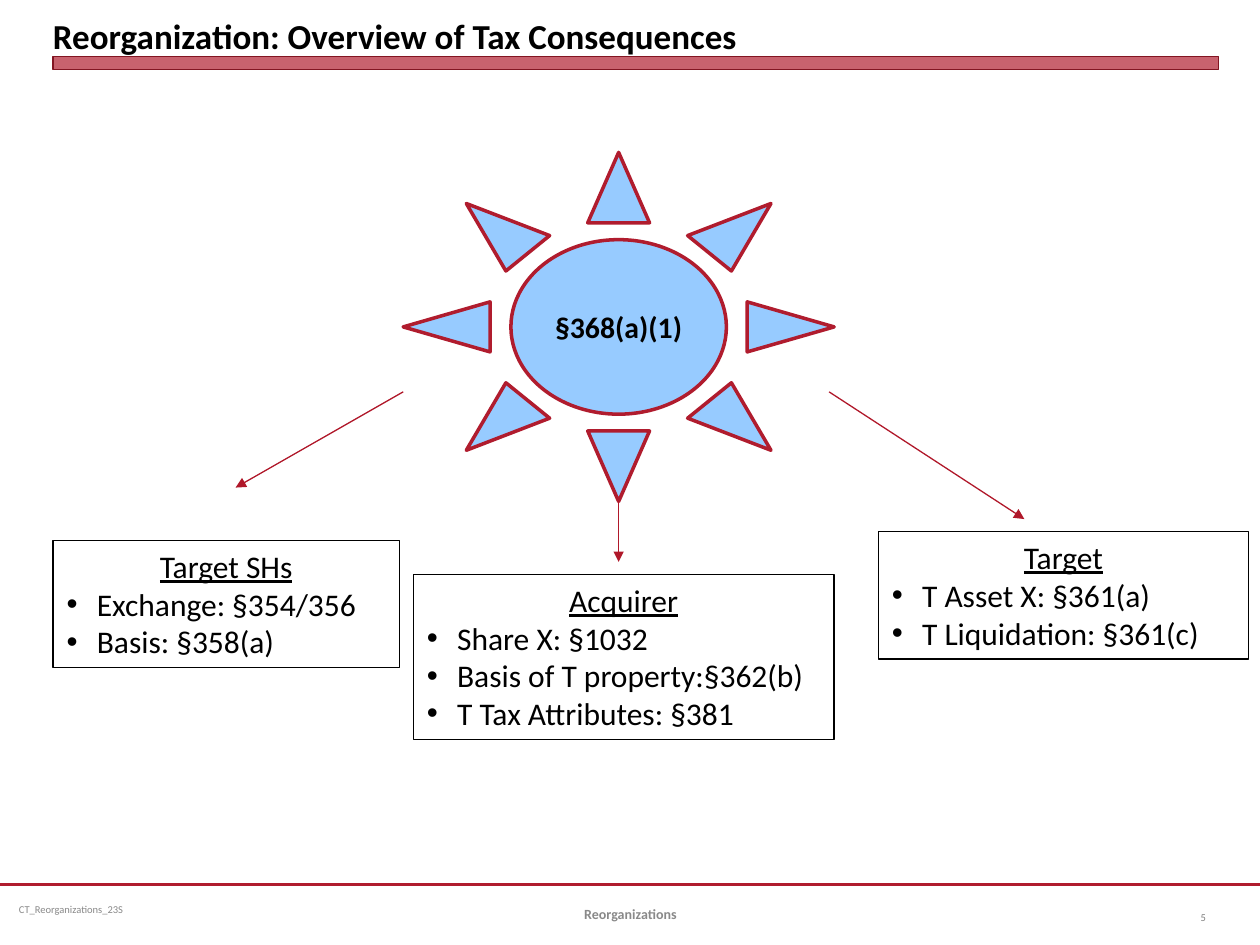
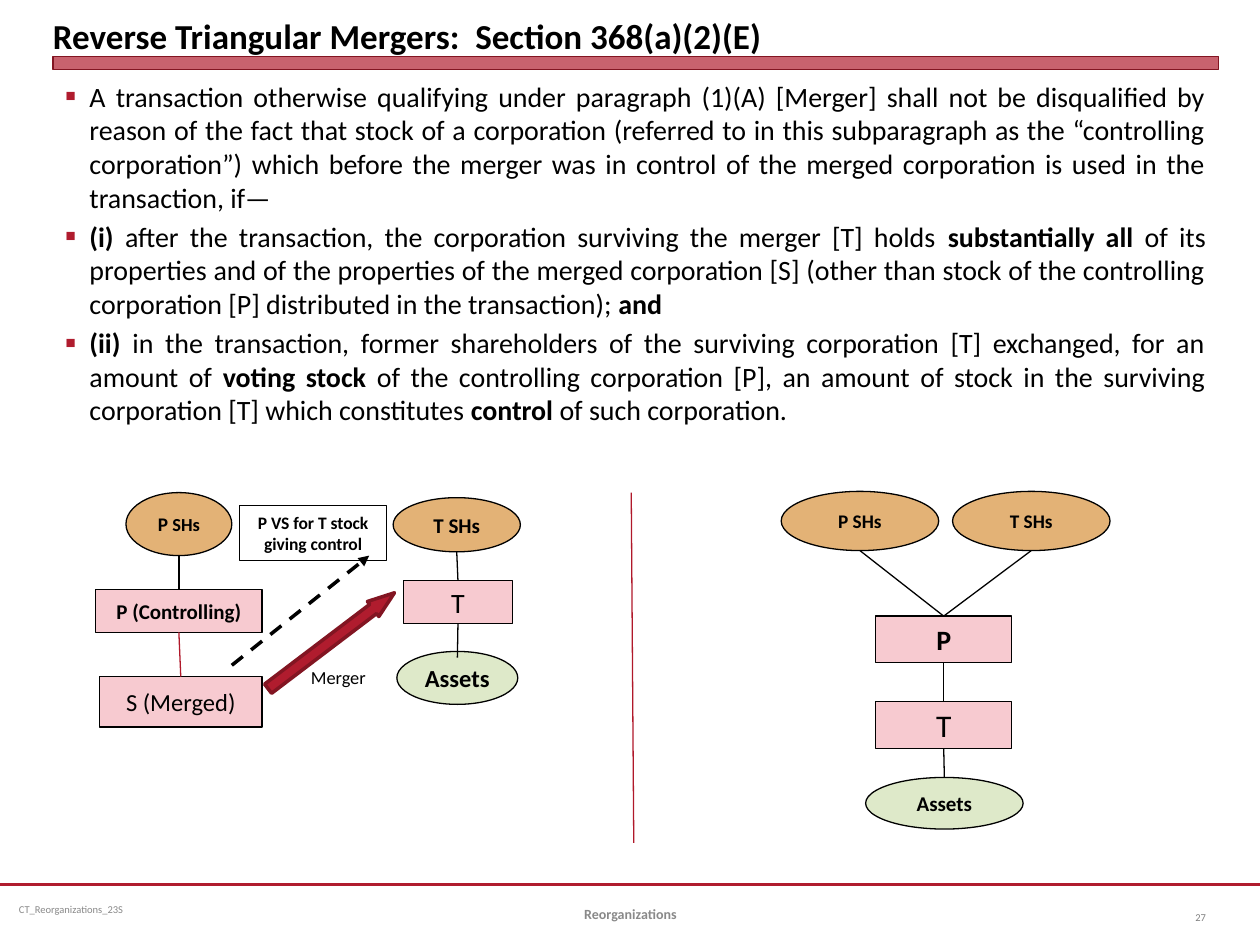
from dataclasses import dataclass
from typing import NamedTuple, Optional, Union

from lxml import etree
from pptx import Presentation
from pptx import slide as sl
from pptx import util as u
from pptx.dml import color as dc
from pptx.enum import dml, shapes, text
from pptx.oxml import ns
from pptx.shapes import autoshape
from pptx.text import text as tx

FONT = "Calibri"
COLORS = {
    "black": "000000", "crimson": "B01C2E", "wine": "821522", "arrow": "B0182A",
    "sky": "97CBFF", "pink": "F7CAD0", "amber": "E3B276", "green": "DEE9C9",
    "footer": "898989", "number": "808080",
}
KIND = shapes.MSO_SHAPE
ALIGN = text.PP_ALIGN
MIDDLE = text.MSO_ANCHOR.MIDDLE
TOP, BOTTOM = 0, 2  # connection sites


class Box(NamedTuple):
    left: float
    top: float
    width: float
    height: float

    def lengths(self) -> list:
        return [u.Inches(value) for value in self]


class Run(NamedTuple):
    text: str
    size: float
    bold: bool = False
    color: str = "black"
    underline: bool = False


class Point(NamedTuple):
    x: float
    y: float


class Anchor(NamedTuple):
    node: str
    site: int


@dataclass
class Node:
    kind: shapes.MSO_SHAPE
    box: Box
    runs: list
    fill: Optional[str] = None
    line: str = "black"
    width: float = 0.75
    wrap: bool = False


@dataclass
class Link:
    start: Union[Point, Anchor]
    end: Union[Point, Anchor]
    color: str = "black"
    width: float = 0.75
    dashed: bool = False
    arrow: bool = False


class Card(NamedTuple):
    heading: str
    box: Box
    items: list


def rgb(name: str) -> dc.RGBColor:
    return dc.RGBColor.from_string(COLORS[name])


def add_runs(paragraph: tx._Paragraph, runs: list, align: ALIGN = ALIGN.LEFT) -> None:
    paragraph.alignment = align
    for item in runs:
        run = paragraph.add_run()
        run.text = item.text
        font = run.font
        font.name, font.size = FONT, u.Pt(item.size)
        font.bold, font.underline = item.bold, item.underline
        font.color.rgb = rgb(item.color)


def add_bullet(paragraph: tx._Paragraph, mark: str, margin: float, hang: float,
               color: str = "black", percent: int = 100) -> None:
    properties = paragraph._p.get_or_add_pPr()
    properties.set("marL", str(u.Inches(margin)))
    properties.set("indent", str(u.Inches(-hang)))
    bullet_color = etree.SubElement(properties, ns.qn("a:buClr"))
    etree.SubElement(bullet_color, ns.qn("a:srgbClr"), val=COLORS[color])
    etree.SubElement(properties, ns.qn("a:buSzPct"), val=str(percent * 1000))
    etree.SubElement(properties, ns.qn("a:buFont"), typeface="Arial")
    etree.SubElement(properties, ns.qn("a:buChar"), char=mark)


def add_label(slide: sl.Slide, box: Box, run: Run, align: ALIGN = ALIGN.LEFT,
              anchor: text.MSO_ANCHOR = MIDDLE) -> tx.TextFrame:
    frame = slide.shapes.add_textbox(*box.lengths()).text_frame
    frame.word_wrap, frame.vertical_anchor = True, anchor
    add_runs(frame.paragraphs[0], [run], align)
    return frame


def add_node(slide: sl.Slide, node: Node) -> autoshape.Shape:
    shape = slide.shapes.add_shape(node.kind, *node.box.lengths())
    shape.shadow.inherit = False
    if node.fill:
        shape.fill.solid()
        shape.fill.fore_color.rgb = rgb(node.fill)
    else:
        shape.fill.background()
    shape.line.color.rgb = rgb(node.line)
    shape.line.width = u.Pt(node.width)
    frame = shape.text_frame
    frame.word_wrap, frame.vertical_anchor = node.wrap, MIDDLE
    add_runs(frame.paragraphs[0], node.runs, ALIGN.CENTER)
    return shape


def locate(end: Union[Point, Anchor], drawn: dict) -> list:
    """Give the place of a point, or of the middle of a node's top or bottom."""
    if isinstance(end, Point):
        return [u.Inches(end.x), u.Inches(end.y)]
    shape = drawn[end.node]
    drop = shape.height if end.site == BOTTOM else 0
    return [shape.left + shape.width // 2, shape.top + drop]


def add_link(slide: sl.Slide, link: Link, drawn: dict) -> None:
    connector = slide.shapes.add_connector(
        shapes.MSO_CONNECTOR.STRAIGHT, *locate(link.start, drawn), *locate(link.end, drawn))
    for end, connect in ((link.start, connector.begin_connect), (link.end, connector.end_connect)):
        if isinstance(end, Anchor) and drawn[end.node].auto_shape_type == KIND.RECTANGLE:
            connect(drawn[end.node], end.site)
    connector.line.color.rgb = rgb(link.color)
    connector.line.width = u.Pt(link.width)
    if link.dashed:
        connector.line.dash_style = dml.MSO_LINE.DASH
    if link.arrow:
        etree.SubElement(connector.line._get_or_add_ln(), ns.qn("a:tailEnd"), type="triangle")
    etree.SubElement(connector._element.spPr, ns.qn("a:effectLst"))


def add_base(presentation: Presentation, layout: int, title: str, number: int) -> sl.Slide:
    """Start a slide with the shared title, bar and footer."""
    slide = presentation.slides.add_slide(presentation.slide_layouts[layout])
    add_link(slide, Link(Point(0, 7.02), Point(10, 7.02), "crimson", 1.25), {})

    # Translucent bar under the title
    bar = add_node(slide, Node(KIND.RECTANGLE, Box(0.42, 0.45, 9.25, 0.1), [],
                               "crimson", "wine", 0))
    bar_color = bar._element.spPr.find(ns.qn("a:solidFill"))[0]
    etree.SubElement(bar_color, ns.qn("a:alpha"), val="69000")

    # Title
    heading = slide.shapes.title
    heading.left, heading.top, heading.width, heading.height = Box(0.42, 0.05, 9.25, 0.4).lengths()
    frame = heading.text_frame
    frame.auto_size, frame.vertical_anchor = text.MSO_AUTO_SIZE.NONE, text.MSO_ANCHOR.BOTTOM
    frame.margin_left = frame.margin_right = frame.margin_top = frame.margin_bottom = 0
    add_runs(frame.paragraphs[0], [Run(title, 20, True)])

    # Footer
    course = add_label(slide, Box(0.08, 7.02, 2.58, 0.4),
                       Run("CT_Reorganizations_23S", 6, color="footer"))
    course.margin_left = course.margin_right = u.Inches(0.07)
    course.margin_top = course.margin_bottom = u.Inches(0.04)
    add_label(slide, Box(3.42, 7.05, 3.17, 0.4),
              Run("Reorganizations", 8, True, "footer"), ALIGN.CENTER)
    add_label(slide, Box(9.17, 7.08, 0.5, 0.4), Run(str(number), 6, color="number"), ALIGN.RIGHT)
    return slide


def add_card(slide: sl.Slide, card: Card) -> None:
    shape = add_node(slide, Node(KIND.RECTANGLE, card.box,
                                 [Run(card.heading, 18, underline=True)], wrap=True))
    frame = shape.text_frame
    frame.vertical_anchor = text.MSO_ANCHOR.TOP
    for item in card.items:
        paragraph = frame.add_paragraph()
        add_runs(paragraph, [Run(item, 18)])
        add_bullet(paragraph, "•", 0.25, 0.24)


def build_overview(presentation: Presentation) -> None:
    slide = add_base(presentation, 5, "Reorganization: Overview of Tax Consequences", 5)
    add_node(slide, Node(KIND.SUN, Box(3.2, 1.21, 3.42, 2.77), [Run("§368(a)(1)", 17, True)],
                         "sky", "crimson", 2, wrap=True))

    # Parties and the sections that apply to them
    for card in (
        Card("Target SHs", Box(0.42, 4.29, 2.75, 1.01), ["Exchange: §354/356", "Basis: §358(a)"]),
        Card("Acquirer", Box(3.28, 4.56, 3.34, 1.31),
             ["Share X: §1032", "Basis of T property:§362(b)", "T Tax Attributes: §381"]),
        Card("Target", Box(6.97, 4.22, 2.94, 1.01),
             ["T Asset X: §361(a)", "T Liquidation: §361(c)"]),
    ):
        add_card(slide, card)

    # Arrows from the sun to the parties
    for start, end in ((Point(3.2, 3.11), Point(1.87, 3.87)),
                       (Point(4.91, 3.98), Point(4.91, 4.46)),
                       (Point(6.58, 3.11), Point(8.13, 4.12))):
        add_link(slide, Link(start, end, "arrow", arrow=True), {})


STATUTE = [
    [("A transaction otherwise qualifying under paragraph (1)(A) [Merger] shall not be "
      "disqualified by reason of the fact that stock of a corporation (referred to in this "
      "subparagraph as the “controlling corporation”) which before the merger was in control "
      "of the merged corporation is used in the transaction, if—", False)],
    [("(i) ", True),
     ("after the transaction, the corporation surviving the merger [T] holds ", False),
     ("substantially all ", True),
     ("of its properties and of the properties of the merged corporation [S] (other than stock "
      "of the controlling corporation [P] distributed in the transaction); ", False),
     ("and", True)],
    [("(ii) ", True),
     ("in the transaction, former shareholders of the surviving corporation [T] exchanged, "
      "for an amount of ", False),
     ("voting stock ", True),
     ("of the controlling corporation [P], an amount of stock in the surviving corporation [T] "
      "which constitutes ", False),
     ("control", True),
     (" of such corporation.", False)],
]


def holders(box: Box, *runs: Run) -> Node:
    return Node(KIND.OVAL, box, list(runs), "amber")


def company(box: Box, run: Run) -> Node:
    return Node(KIND.RECTANGLE, box, [run], "pink")


def assets(box: Box, size: float) -> Node:
    return Node(KIND.OVAL, box, [Run("Assets", size, True)], "green")


def build_triangular(presentation: Presentation) -> None:
    slide = add_base(presentation, 1, "Reverse Triangular Mergers:  Section 368(a)(2)(E)", 27)

    # Statute text
    body = slide.placeholders[1]
    body.left, body.top, body.width, body.height = Box(0.42, 0.58, 9.25, 3.17).lengths()
    frame = body.text_frame
    frame.auto_size = text.MSO_AUTO_SIZE.NONE
    for index, parts in enumerate(STATUTE):
        paragraph = frame.add_paragraph() if index else frame.paragraphs[0]
        add_runs(paragraph, [Run(words, 16, bold) for words, bold in parts], ALIGN.JUSTIFY)
        add_bullet(paragraph, "■", 0.19, 0.19, "crimson", 60)

    # Before the merger on the left, after it on the right
    nodes = {
        "P holders": holders(Box(1, 3.91, 0.84, 0.5), Run("P ", 11, True), Run("SHs", 10.5, True)),
        "P": company(Box(0.76, 4.68, 1.32, 0.34), Run("P (Controlling)", 12, True)),
        "S": company(Box(0.79, 5.37, 1.29, 0.4), Run("S (Merged)", 14)),
        "T holders": holders(Box(3.12, 3.95, 1.01, 0.43), Run("T SHs", 12, True)),
        "T": company(Box(3.2, 4.61, 0.87, 0.34), Run("T", 16)),
        "T assets": assets(Box(3.15, 5.17, 0.96, 0.42), 14),
        "exchange": Node(KIND.RECTANGLE, Box(1.9, 4.01, 1.17, 0.44),
                         [Run("P VS for T stock giving control", 10, True)], wrap=True),
        "old P holders": holders(Box(6.2, 3.9, 1.25, 0.47), Run("P SHs", 11, True)),
        "old T holders": holders(Box(7.56, 3.9, 1.25, 0.47), Run("T SHs", 11, True)),
        "new P": company(Box(6.95, 4.89, 1.08, 0.37), Run("P", 16, True)),
        "new T": company(Box(6.95, 5.57, 1.08, 0.37), Run("T", 18)),
        "new assets": assets(Box(6.87, 6.17, 1.25, 0.41), 12),
    }
    drawn = {name: add_node(slide, node) for name, node in nodes.items()}

    # Ownership lines
    for owner, owned, color in (
        ("P holders", "P", "black"), ("P", "S", "arrow"), ("T holders", "T", "black"),
        ("old P holders", "new P", "black"), ("old T holders", "new P", "black"),
        ("new P", "new T", "black"), ("new T", "new assets", "black"),
    ):
        add_link(slide, Link(Anchor(owner, BOTTOM), Anchor(owned, TOP), color), drawn)
    add_link(slide, Link(Anchor("T", BOTTOM), Point(3.63, 5.22)), drawn)

    # Share exchange, divider and merger arrow
    add_link(slide, Link(Point(1.84, 5.28), Point(2.93, 4.41), width=2, dashed=True, arrow=True),
             drawn)
    add_link(slide, Link(Point(5.01, 3.91), Point(5.03, 6.69), "arrow"), drawn)
    merger = add_node(slide, Node(KIND.RIGHT_ARROW, Box(2, 5.01, 1.26, 0.15), [],
                                  "crimson", "wine", 2))
    merger.rotation = 322.8
    merger.adjustments[0], merger.adjustments[1] = 0.61, 1.42
    add_label(slide, Box(2.37, 5.24, 1.06, 0.29), Run("Merger", 10.5),
              anchor=text.MSO_ANCHOR.TOP)


def main() -> None:
    presentation = Presentation()
    presentation.slide_width, presentation.slide_height = u.Inches(10), u.Inches(7.5)
    build_overview(presentation)
    build_triangular(presentation)
    presentation.save("out.pptx")


if __name__ == "__main__":
    main()
